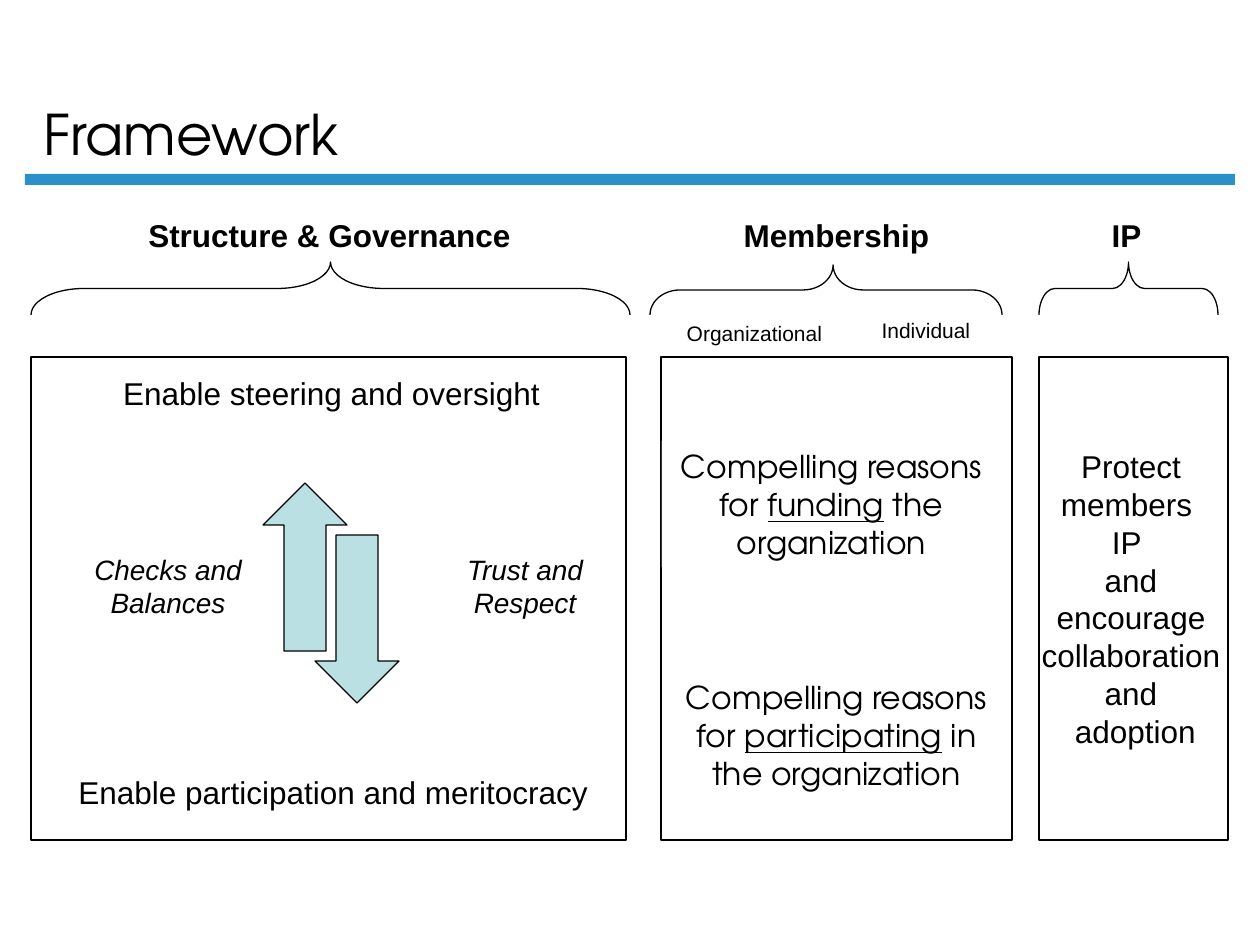
from lxml import etree
from pptx import Presentation
from pptx.dml.color import RGBColor
from pptx.enum.shapes import MSO_SHAPE as Preset
from pptx.enum.text import MSO_ANCHOR as Anchor, MSO_AUTO_SIZE as AutoSize, PP_ALIGN as Align
from pptx.oxml.ns import qn
from pptx.util import Emu, Pt

PX_PER_INCH = 126
BLACK, WHITE, BLUE, TEAL = "000000", "FFFFFF", "2990CA", "BBE0E3"
SANS, DISPLAY = "Arial", "TeX Gyre Adventor"


def px(value):
    return Emu(round(value * 914400 / PX_PER_INCH))


def color(hex_string):
    return RGBColor.from_string(hex_string)


class FrameworkSlide:
    """Holds the style and the current slide."""

    line_width = Pt(0.75)

    def __init__(self, presentation):
        self.slide = presentation.slides.add_slide(presentation.slide_layouts[5])
        self.shapes = self.slide.shapes

    def style_runs(self, paragraph, size, font, bold=False, italic=False):
        for run in paragraph.runs:
            run.font.size = Pt(size)
            run.font.name = font
            run.font.bold = bold
            run.font.italic = italic
            run.font.color.rgb = color(BLACK)

    def title(self, text, box):
        shape = self.shapes.title
        shape.left, shape.top, shape.width, shape.height = map(px, box)
        frame = shape.text_frame
        frame.text = text
        frame.vertical_anchor = Anchor.BOTTOM
        frame.auto_size = AutoSize.NONE
        frame.paragraphs[0].alignment = Align.LEFT
        self.style_runs(frame.paragraphs[0], 32, DISPLAY)

    def shape(self, preset, box, fill=None, line=BLACK):
        shape = self.shapes.add_shape(preset, *map(px, box))
        shape.shadow.inherit = False
        if fill:
            shape.fill.solid()
            shape.fill.fore_color.rgb = color(fill)
        else:
            shape.fill.background()
        if line:
            shape.line.color.rgb = color(line)
            shape.line.width = self.line_width
        else:
            shape.line.fill.background()
        return shape

    def brace(self, box, curve, point=0.5):
        """A left brace turned to point up; box is the area it covers when turned."""
        left, top, width, height = box
        offset = (width - height) / 2
        shape = self.shape(Preset.LEFT_BRACE, (left + offset, top - offset, height, width))
        shape.rotation = 90
        shape.adjustments[0] = curve
        shape.adjustments[1] = point

    def text(self, text, box, size=18, font=SANS, underlined=None, margin=None, **style):
        shape = self.shapes.add_textbox(*map(px, box))
        frame = shape.text_frame
        frame.word_wrap = True
        frame.auto_size = AutoSize.SHAPE_TO_FIT_TEXT
        if margin is not None:
            frame.margin_left = frame.margin_right = px(margin)
        paragraph = frame.paragraphs[0]
        paragraph.alignment = Align.CENTER
        if underlined:
            before, after = text.split(underlined)
            for part in (before, underlined, after):
                run = paragraph.add_run()
                run.text = part
                run.font.underline = part == underlined
        else:
            paragraph.text = text
        self.style_runs(paragraph, size, font, **style)
        return shape

    def veil(self, shape, opacity):
        """Give a text box a see-through white fill."""
        shape.fill.solid()
        shape.fill.fore_color.rgb = color(WHITE)
        rgb = shape.fill._xPr.find(qn("a:solidFill")).find(qn("a:srgbClr"))
        etree.SubElement(rgb, qn("a:alpha")).set("val", str(opacity * 1000))


def main():
    presentation = Presentation()
    presentation.slide_width, presentation.slide_height = px(1260), px(945)
    page = FrameworkSlide(presentation)

    # Title and rule
    page.shape(Preset.RECTANGLE, (25, 174, 1210, 11), fill=BLUE, line=None)
    page.title("Framework", (31, 15, 1079, 158))

    # Panels
    for left, width in ((31, 595), (661, 351), (1039, 189)):
        page.shape(Preset.RECTANGLE, (left, 357, width, 483))

    # Headings and braces
    for heading, left, width in (("Structure & Governance", 128, 403),
                                 ("Membership", 700, 273),
                                 ("IP", 1042, 169)):
        page.text(heading, (left, 210, width, 50), bold=True)
    page.brace((31, 262, 599, 53), curve=1)
    page.brace((650, 265, 352, 50), curve=0.6, point=0.48)
    page.brace((1039, 262, 179, 53), curve=0.3)

    # Structure and governance
    page.text("Enable steering and oversight", (34, 368, 595, 50))
    page.text("Enable participation and meritocracy", (35, 767, 596, 50))
    page.text("Checks and Balances", (63, 546, 210, 81), size=16, italic=True)
    page.text("Trust and Respect", (420, 546, 210, 81), size=16, italic=True)
    page.shape(Preset.UP_ARROW, (263, 483, 84, 168), fill=TEAL)
    page.shape(Preset.DOWN_ARROW, (315, 535, 84, 168), fill=TEAL)

    # Membership
    page.text("Organizational", (674, 314, 161, 38), size=12)
    page.text("Individual", (844, 311, 164, 38), size=12)
    funding = page.text("Compelling reasons for funding the organization",
                        (661, 441, 341, 126), font=DISPLAY, underlined="funding")
    page.veil(funding, opacity=20)
    page.text("Compelling reasons for participating in the organization",
              (666, 672, 341, 126), font=DISPLAY, underlined="participating")

    # Intellectual property
    page.text("Protect members \vIP \vand\vencourage collaboration and\v adoption",
              (1030, 441, 202, 315), margin=0)

    presentation.save("out.pptx")


if __name__ == "__main__":
    main()
